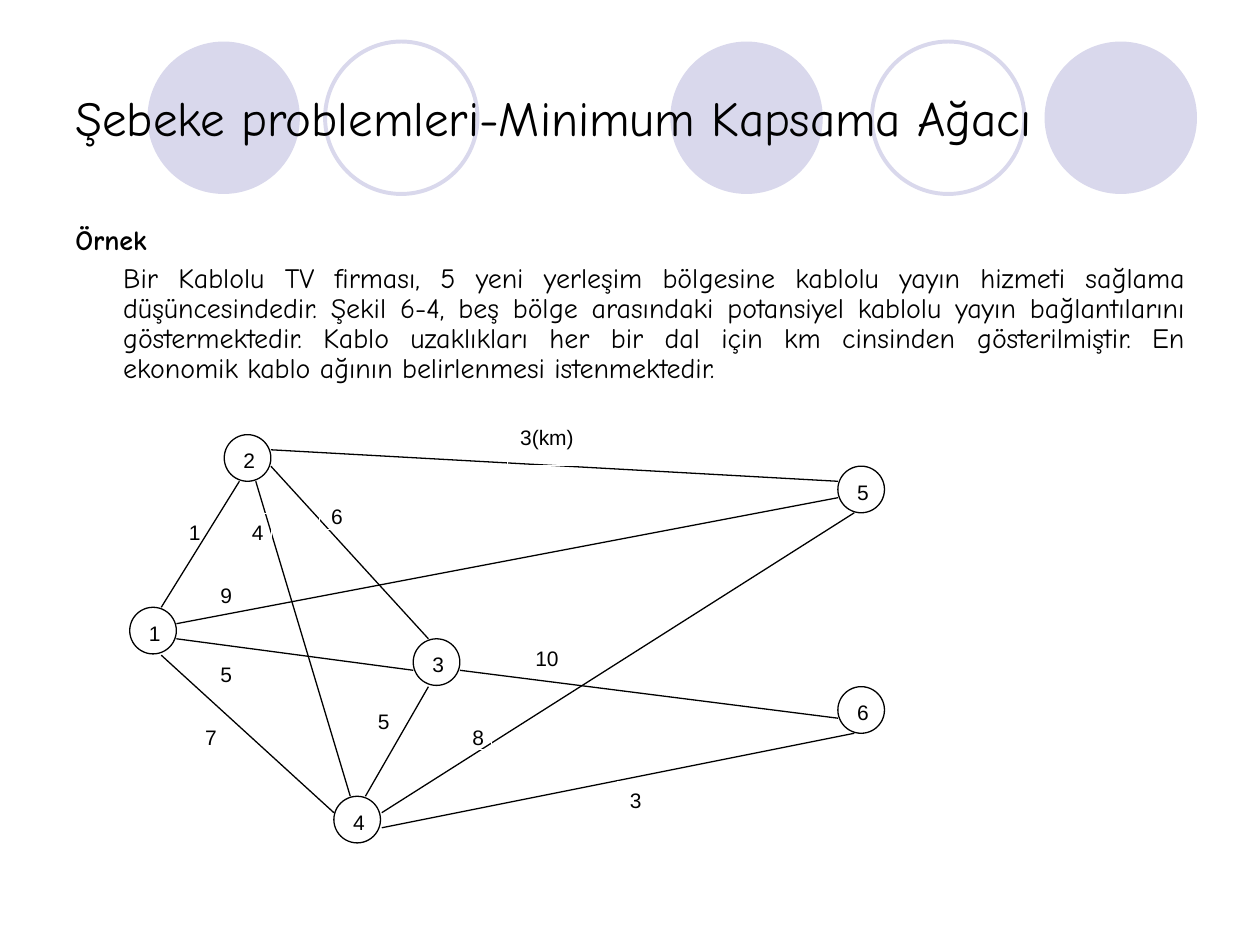
from lxml import etree
from pptx import Presentation
from pptx import util as u
from pptx.dml.color import RGBColor
from pptx.enum import shapes, text
from pptx.oxml.ns import qn

Inches, Pt = u.Inches, u.Pt
BLACK, WHITE, LILAC = "000000", "FFFFFF", "D9D8EC"


def color(value):
    return RGBColor.from_string(value)


def add_shape(kind, left, top, width, height, fill, line, weight, words=""):
    """Add a preset shape with left-aligned text; None leaves out fill or line."""
    shape = page.shapes.add_shape(
        kind, Inches(left), Inches(top), Inches(width), Inches(height))
    shape.shadow.inherit = False
    if fill:
        shape.fill.solid()
        shape.fill.fore_color.rgb = color(fill)
    else:
        shape.fill.background()
    if line:
        shape.line.color.rgb = color(line)
        shape.line.width = Pt(weight)
    else:
        shape.line.fill.background()
    if words:
        frame = shape.text_frame
        frame.text = words
        frame.vertical_anchor = text.MSO_ANCHOR.TOP
        para = frame.paragraphs[0]
        para.alignment = text.PP_ALIGN.LEFT
        font = para.runs[0].font
        font.name, font.size = "Arial", Pt(12)
        font.color.rgb = color(BLACK)


deck = Presentation()
deck.slide_width, deck.slide_height = Inches(10), Inches(7.5)
page = deck.slides.add_slide(deck.slide_layouts[6])
OVAL, RECT = shapes.MSO_SHAPE.OVAL, shapes.MSO_SHAPE.RECTANGLE

# Decorative circles behind the title
for left in (1.17, 5.32, 8.29):
    add_shape(OVAL, left, 0.33, 1.21, 1.21, LILAC, None, 0)
for left in (2.58, 6.92):
    add_shape(OVAL, left, 0.33, 1.21, 1.21, None, LILAC, 2.25)

# Title
box = page.shapes.add_textbox(Inches(0.5), Inches(0.3), Inches(9), Inches(1.25))
frame = box.text_frame
frame.word_wrap = True
frame.vertical_anchor = text.MSO_ANCHOR.MIDDLE
frame.text = "Şebeke problemleri-Minimum Kapsama Ağacı"
font = frame.paragraphs[0].runs[0].font
font.name, font.size = "Comic Neue", Pt(28)
font.color.rgb = color(BLACK)

# Problem statement: bold heading, then an indented paragraph
box = page.shapes.add_textbox(Inches(0.5), Inches(1.75), Inches(9), Inches(4.95))
frame = box.text_frame
frame.word_wrap = True
frame.text = (
    "Örnek\n"
    "Bir Kablolu TV firması, 5 yeni yerleşim bölgesine kablolu yayın hizmeti "
    "sağlama düşüncesindedir. Şekil 6-4, beş bölge arasındaki potansiyel "
    "kablolu yayın bağlantılarını göstermektedir. Kablo uzaklıkları her bir dal "
    "için km cinsinden gösterilmiştir. En ekonomik kablo ağının belirlenmesi "
    "istenmektedir.")
for para, indent, bold in zip(frame.paragraphs, (0, 0.38), (True, False)):
    para.alignment = text.PP_ALIGN.JUSTIFY
    para.line_spacing = 0.9
    para.space_before = Pt(4)
    para._p.get_or_add_pPr().set("marL", str(Inches(indent)))
    font = para.runs[0].font
    font.name, font.size, font.bold = "Comic Neue", Pt(16), bold
    font.color.rgb = color(BLACK)

# Network nodes
nodes = {"1": (1.03, 4.82), "2": (1.78, 3.45), "3": (3.28, 5.07),
         "4": (2.65, 6.32), "5": (6.65, 3.7), "6": (6.65, 5.45)}
for name, (left, top) in nodes.items():
    add_shape(OVAL, left, top, 0.37, 0.37, WHITE, BLACK, 0.75, name)

# The frame of this label lies under its edge; the other frames lie above theirs
add_shape(RECT, 1.4, 4.07, 0.25, 0.25, None, WHITE, 0.25, "1")

edges = [
    (1.28, 4.82, 1.9, 3.82),   # 1-2
    (1.4, 5.07, 3.28, 5.32),   # 1-3
    (1.28, 5.2, 2.65, 6.45),   # 1-4
    (1.4, 4.95, 6.65, 3.95),   # 1-5
    (2.15, 3.7, 3.4, 5.07),    # 2-3
    (2.03, 3.82, 2.78, 6.32),  # 2-4
    (2.15, 3.57, 6.65, 3.82),  # 2-5
    (2.9, 6.32, 3.4, 5.45),    # 4-3
    (3.65, 5.32, 6.65, 5.7),   # 3-6
    (6.78, 4.07, 3.03, 6.45),  # 5-4
    (3.03, 6.57, 6.78, 5.82),  # 4-6
]
for ends in edges:
    edge = page.shapes.add_connector(
        shapes.MSO_CONNECTOR.STRAIGHT, *[Inches(value) for value in ends])
    edge.line.color.rgb = color(BLACK)
    edge.line.width = Pt(0.75)
    etree.SubElement(edge._element.spPr, qn("a:effectLst"))

# Distances
labels = [
    ("4", 1.9, 4.07, 0.25, 0.25), ("9", 1.65, 4.57, 0.25, 0.25),
    ("5", 1.65, 5.2, 0.25, 0.25), ("7", 1.53, 5.7, 0.25, 0.25),
    ("5", 2.9, 5.57, 0.25, 0.25), ("8", 3.65, 5.7, 0.25, 0.25),
    ("10", 4.15, 5.07, 0.5, 0.25), ("3(km)", 4.03, 3.32, 0.87, 0.37),
    ("3", 4.9, 6.2, 0.25, 0.25), ("6", 2.53, 3.95, 0.25, 0.25),
]
for words, *area in labels:
    add_shape(RECT, *area, None, WHITE, 0.25, words)

deck.save("out.pptx")
